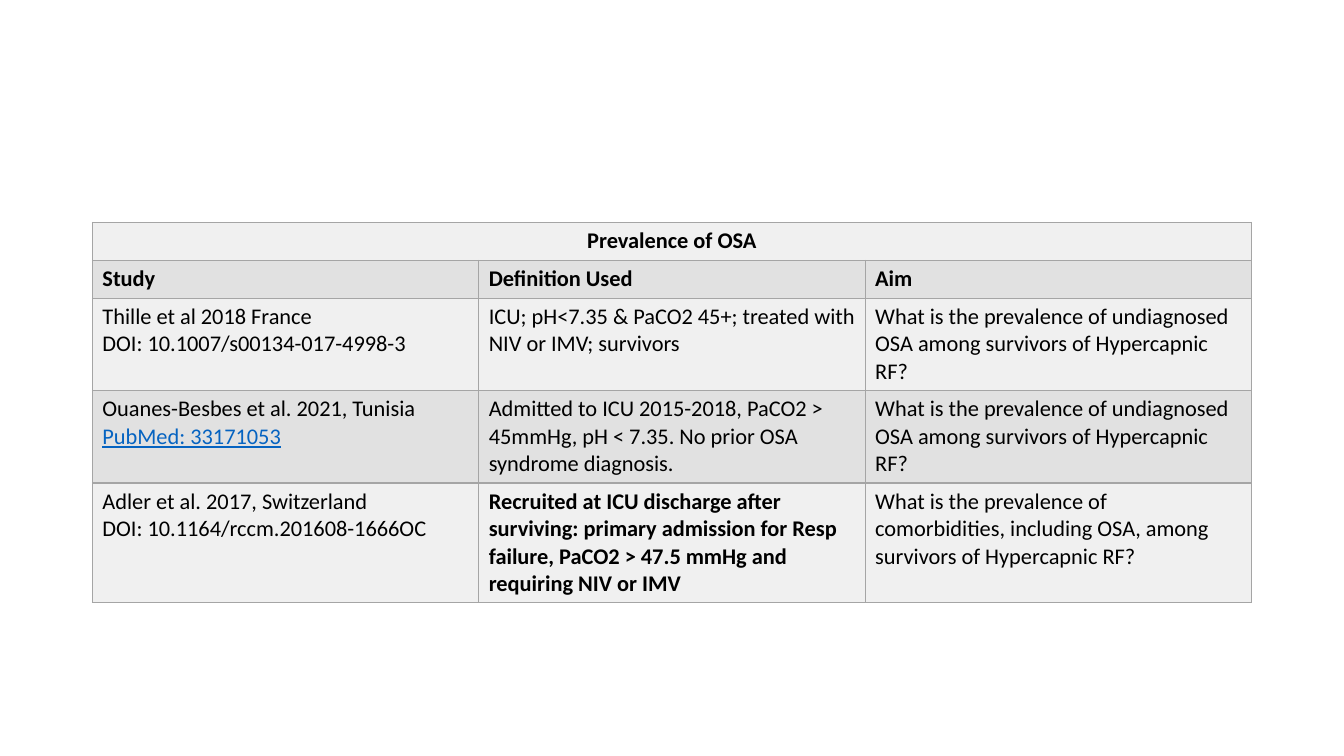
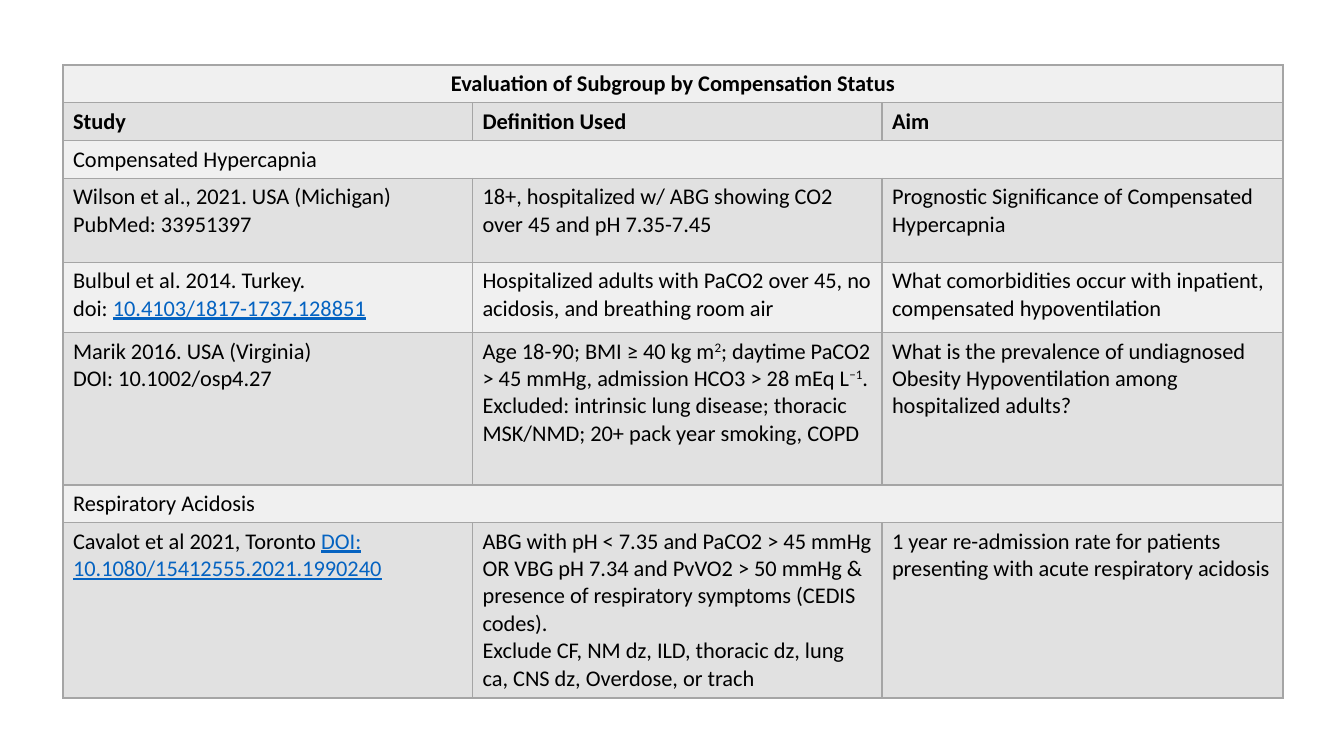
import dataclasses

import lxml.etree
import pptx
import pptx.dml.color
import pptx.enum.text
import pptx.oxml.ns
import pptx.util

EMU_PER_PX = 9525


@dataclasses.dataclass(frozen=True)
class Theme:
    font: str = "Calibri"
    size: int = 16
    text: str = "000000"
    link: str = "0563C1"
    border: str = "A5A5A5"
    border_pt: int = 1
    bands: tuple = ("F0F0F0", "E1E1E1")


@dataclasses.dataclass(frozen=True)
class Span:
    """A piece of text with its own look."""
    text: str
    bold: bool = False
    link: bool = False
    superscript: bool = False


def px(length):
    return pptx.util.Emu(length * EMU_PER_PX)


def rgb(value):
    return pptx.dml.color.RGBColor.from_string(value)


class Deck:
    def __init__(self, theme):
        self.theme = theme
        self.presentation = pptx.Presentation()
        self.presentation.slide_width = px(1280)
        self.presentation.slide_height = px(720)
        self.slide = None

    def new_slide(self):
        blank = self.presentation.slide_layouts[6]
        self.slide = self.presentation.slides.add_slide(blank)

    def study_table(self, left, top, widths, heights, rows):
        """Title row, heading row, then studies; a one-cell row spans the table."""
        frame = self.slide.shapes.add_table(
            len(heights), len(widths), px(left), px(top), px(sum(widths)), px(sum(heights)))
        table = frame.table
        table.first_row = table.horz_banding = False
        for column, width in zip(table.columns, widths):
            column.width = px(width)
        for index, (height, entries) in enumerate(zip(heights, rows, strict=True)):
            table.rows[index].height = px(height)
            cells = [table.cell(index, number) for number in range(len(widths))]
            for cell in cells:
                self.paint_cell(cell, self.theme.bands[index % 2])
            if len(entries) == 1:
                cells[0].merge(cells[-1])
            for cell, entry in zip(cells, entries):
                self.fill_text(cell.text_frame, entry, bold=index < 2)
        title = table.cell(0, 0).text_frame.paragraphs[0]
        title.alignment = pptx.enum.text.PP_ALIGN.CENTER

    def paint_cell(self, cell, colour):
        """Borders first, since the fill follows them in the cell properties."""
        properties = cell._tc.get_or_add_tcPr()
        qn = pptx.oxml.ns.qn
        width = str(pptx.util.Pt(self.theme.border_pt))
        for side in ("a:lnL", "a:lnR", "a:lnT", "a:lnB"):
            line = lxml.etree.SubElement(properties, qn(side), w=width)
            solid = lxml.etree.SubElement(line, qn("a:solidFill"))
            lxml.etree.SubElement(solid, qn("a:srgbClr"), val=self.theme.border)
        cell.fill.solid()
        cell.fill.fore_color.rgb = rgb(colour)

    def fill_text(self, frame, entry, bold):
        """An entry is one text or a list of paragraphs, each a text or a list of spans."""
        lines = [entry] if isinstance(entry, (str, Span)) else entry
        for index, line in enumerate(lines):
            paragraph = frame.add_paragraph() if index else frame.paragraphs[0]
            for piece in line if isinstance(line, list) else [line]:
                span = Span(piece) if isinstance(piece, str) else piece
                run = paragraph.add_run()
                run.text = span.text
                font = run.font
                font.name = self.theme.font
                font.size = pptx.util.Pt(self.theme.size)
                font.bold = bold or span.bold
                font.underline = span.link
                font.color.rgb = rgb(self.theme.link if span.link else self.theme.text)
                if span.superscript:
                    run._r.get_or_add_rPr().set("baseline", "30000")


HEADINGS = ["Study", "Definition Used", "Aim"]
UNDIAGNOSED_OSA = ("What is the prevalence of undiagnosed OSA among survivors "
                   "of Hypercapnic RF?")

PREVALENCE = [
    ["Prevalence of OSA"],
    HEADINGS,
    [["Thille et al 2018 France", "DOI: 10.1007/s00134-017-4998-3"],
     "ICU; pH<7.35 & PaCO2 45+; treated with NIV or IMV; survivors",
     UNDIAGNOSED_OSA],
    [[["Ouanes-Besbes et al. 2021, Tunisia ", Span("PubMed: 33171053", link=True)]],
     "Admitted to ICU 2015-2018, PaCO2 > 45mmHg, pH < 7.35. "
     "No prior OSA syndrome diagnosis.",
     UNDIAGNOSED_OSA],
    [["Adler et al. 2017, Switzerland", "DOI: 10.1164/rccm.201608-1666OC"],
     Span("Recruited at ICU discharge after surviving: primary admission for Resp "
          "failure, PaCO2 > 47.5 mmHg and requiring NIV or IMV", bold=True),
     "What is the prevalence of comorbidities, including OSA, among survivors "
     "of Hypercapnic RF?"],
]

COMPENSATION = [
    ["Evaluation of Subgroup by Compensation Status"],
    HEADINGS,
    ["Compensated Hypercapnia"],
    [["Wilson et al., 2021. USA (Michigan)", "PubMed: 33951397"],
     "18+, hospitalized w/ ABG showing CO2 over 45 and pH 7.35-7.45",
     "Prognostic Significance of Compensated Hypercapnia"],
    [["Bulbul et al. 2014. Turkey.",
      ["doi: ", Span("10.4103/1817-1737.128851", link=True)]],
     "Hospitalized adults with PaCO2 over 45, no acidosis, and breathing room air",
     "What comorbidities occur with inpatient, compensated hypoventilation"],
    [["Marik 2016. USA (Virginia)", "DOI: 10.1002/osp4.27"],
     [["Age 18-90; BMI ≥ 40 kg m", Span("2", superscript=True),
       "; daytime PaCO2 > 45 mmHg, admission HCO3 > 28 mEq L",
       Span("−1", superscript=True), "."],
      "Excluded: intrinsic lung disease; thoracic MSK/NMD; 20+ pack year smoking, COPD"],
     "What is the prevalence of undiagnosed Obesity Hypoventilation among "
     "hospitalized adults?"],
    ["Respiratory Acidosis"],
    [[["Cavalot et al 2021, Toronto ",
       Span("DOI: 10.1080/15412555.2021.1990240", link=True)]],
     ["ABG with pH < 7.35 and PaCO2 > 45 mmHg OR VBG pH 7.34 and PvVO2 > 50 mmHg "
      "& presence of respiratory symptoms (CEDIS codes).",
      "Exclude CF, NM dz, ILD, thoracic dz, lung ca, CNS dz, Overdose, or trach"],
     "1 year re-admission rate for patients presenting with acute respiratory acidosis"],
]


def main():
    deck = Deck(Theme())

    # Prevalence of sleep apnoea
    deck.new_slide()
    deck.study_table(88, 212, [368] * 3, [36, 36, 88, 88, 114], PREVALENCE)

    # Subgroups by compensation status
    deck.new_slide()
    deck.study_table(60, 62, [390, 390, 382],
                     [36, 36, 36, 80, 67, 145, 36, 167], COMPENSATION)

    deck.presentation.save("out.pptx")


if __name__ == "__main__":
    main()
